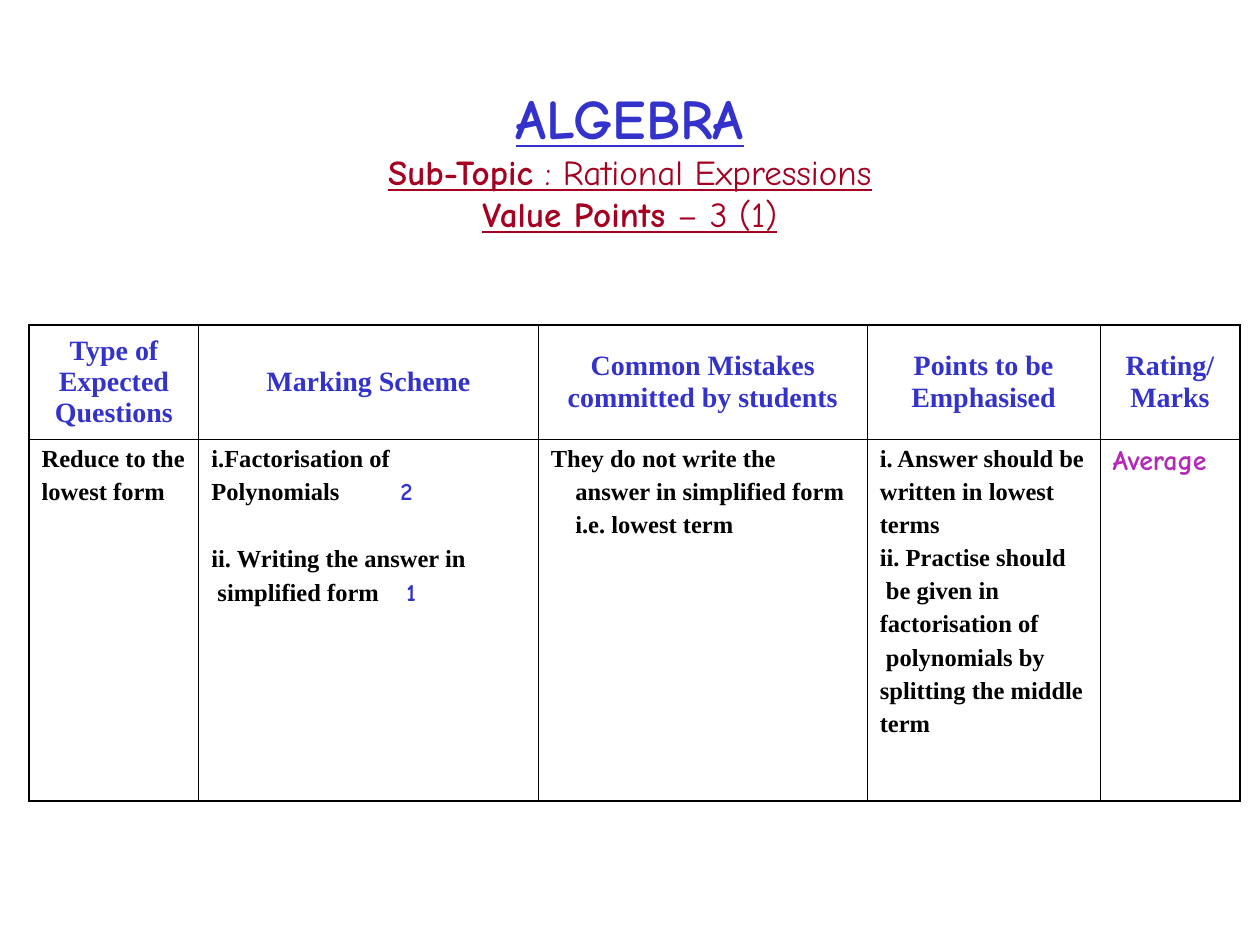
from dataclasses import dataclass

from pptx import Presentation
from pptx.dml.color import RGBColor
from pptx.enum.text import MSO_ANCHOR as Anchor, PP_ALIGN as Align
from pptx.oxml.ns import qn
from pptx.util import Pt
from lxml.etree import SubElement


@dataclass(frozen=True)
class Theme:
    serif: str = "Times New Roman"
    casual: str = "Comic Neue"
    blue: str = "3333CC"
    red: str = "A50021"
    purple: str = "B32AB6"
    black: str = "000000"
    title_size: float = 32
    subtitle_size: float = 20
    header_size: float = 16
    body_size: float = 14
    inner_line: float = 0.45
    outer_line: float = 1.08


THEME = Theme()


@dataclass(frozen=True)
class Style:
    size: float
    font: str
    color: str
    bold: bool = True
    underline: bool = False


TITLE = Style(THEME.title_size, THEME.casual, THEME.blue, underline=True)
LABEL = Style(THEME.subtitle_size, THEME.casual, THEME.red, underline=True)
DETAIL = Style(THEME.subtitle_size, THEME.casual, THEME.red, bold=False, underline=True)
HEADER = Style(THEME.header_size, THEME.serif, THEME.blue)
BODY = Style(THEME.body_size, THEME.serif, THEME.black)
MARK = Style(THEME.body_size, THEME.casual, THEME.blue)
RATING = Style(THEME.header_size, THEME.casual, THEME.purple)


@dataclass(frozen=True)
class Line:
    text: str
    mark: str = ""
    style: Style = BODY
    margin: float = 0
    hanging: float = 0
    space_before: float = 3.5


@dataclass(frozen=True)
class Column:
    heading: str
    width: float
    lines: tuple[Line, ...]


MARK_TAB = 167
COLUMNS = (
    Column("Type of Expected Questions", 97, (
        Line("Reduce to the", margin=44, hanging=44),
        Line("lowest form"),
    )),
    Column("Marking Scheme", 194, (
        Line("i.Factorisation of"),
        Line("Polynomials", mark="2"),
        Line("ii. Writing the answer in", space_before=22.5),
        Line("simplified form", mark="1", margin=3.5),
    )),
    Column("Common Mistakes committed by students", 188, (
        Line("They do not write the"),
        Line("answer in simplified form", margin=14),
        Line("i.e. lowest term", margin=14),
    )),
    Column("Points to be Emphasised", 133, (
        Line("i. Answer should be"),
        Line("written in lowest"),
        Line("terms"),
        Line("ii. Practise should"),
        Line("be given in", margin=3.5),
        Line("factorisation of"),
        Line("polynomials by", margin=3.5),
        Line("splitting the middle"),
        Line("term"),
    )),
    Column("Rating/ Marks", 80, (Line("Average", style=RATING),)),
)
ROW_HEIGHTS = (65, 207)
TITLE_LINES = (
    (("ALGEBRA", TITLE),),
    (("Sub-Topic", LABEL), (" : Rational Expressions", DETAIL)),
    (("Value Points", LABEL), (" – 3 (1)", DETAIL)),
)


def add_run(paragraph, text: str, style: Style) -> None:
    run = paragraph.add_run()
    run.text = text
    font = run.font
    font.size, font.name = Pt(style.size), style.font
    font.bold, font.underline = style.bold, style.underline
    font.color.rgb = RGBColor.from_string(style.color)


def add_line(paragraph, line: Line, first: bool) -> None:
    if not first:
        paragraph.space_before = Pt(line.space_before)
    properties = paragraph._p.get_or_add_pPr()
    properties.set("marL", str(Pt(line.margin)))
    properties.set("indent", str(-Pt(line.hanging)))
    if line.mark:
        tabs = SubElement(properties, qn("a:tabLst"))
        SubElement(tabs, qn("a:tab"), pos=str(Pt(MARK_TAB)), algn="l")
    add_run(paragraph, line.text, line.style)
    if line.mark:
        add_run(paragraph, "\t" + line.mark, MARK)


def format_cell(cell, outer_sides: dict[str, bool]) -> None:
    properties = cell._tc.get_or_add_tcPr()
    for side, outer in outer_sides.items():
        width = THEME.outer_line if outer else THEME.inner_line
        border = SubElement(properties, qn(f"a:ln{side}"), w=str(Pt(width)))
        fill = SubElement(border, qn("a:solidFill"))
        SubElement(fill, qn("a:srgbClr"), val=THEME.black)
    cell.fill.background()


def add_title(slide) -> None:
    box = slide.shapes.add_textbox(Pt(54), Pt(36), Pt(612), Pt(102))
    frame = box.text_frame
    frame.word_wrap = True
    frame.vertical_anchor = Anchor.MIDDLE
    frame.margin_top = Pt(11)
    paragraph = frame.paragraphs[0]
    paragraph.alignment = Align.CENTER
    for index, runs in enumerate(TITLE_LINES):
        if index:
            paragraph.add_line_break()
        for text, style in runs:
            add_run(paragraph, text, style)


def add_marking_table(slide) -> None:
    width = sum(column.width for column in COLUMNS)
    table = slide.shapes.add_table(
        len(ROW_HEIGHTS), len(COLUMNS),
        Pt(16.6), Pt(185.8), Pt(width), Pt(sum(ROW_HEIGHTS)),
    ).table
    table.first_row = table.horz_banding = False
    for row, height in zip(table.rows, ROW_HEIGHTS):
        row.height = Pt(height)

    for index, column in enumerate(COLUMNS):
        table.columns[index].width = Pt(column.width)
        header, body = table.cell(0, index), table.cell(1, index)
        sides = {"L": index == 0, "R": index == len(COLUMNS) - 1}
        format_cell(header, sides | {"T": True, "B": False})
        format_cell(body, sides | {"T": False, "B": True})

        # Heading
        header.vertical_anchor = Anchor.MIDDLE
        heading = header.text_frame.paragraphs[0]
        heading.alignment = Align.CENTER
        add_run(heading, column.heading, HEADER)

        # Body lines
        frame = body.text_frame
        for number, line in enumerate(column.lines):
            paragraph = frame.add_paragraph() if number else frame.paragraphs[0]
            add_line(paragraph, line, first=number == 0)


def main() -> None:
    presentation = Presentation()
    presentation.slide_width, presentation.slide_height = Pt(720), Pt(540)
    slide = presentation.slides.add_slide(presentation.slide_layouts[6])
    add_title(slide)
    add_marking_table(slide)
    presentation.save("out.pptx")


if __name__ == "__main__":
    main()
